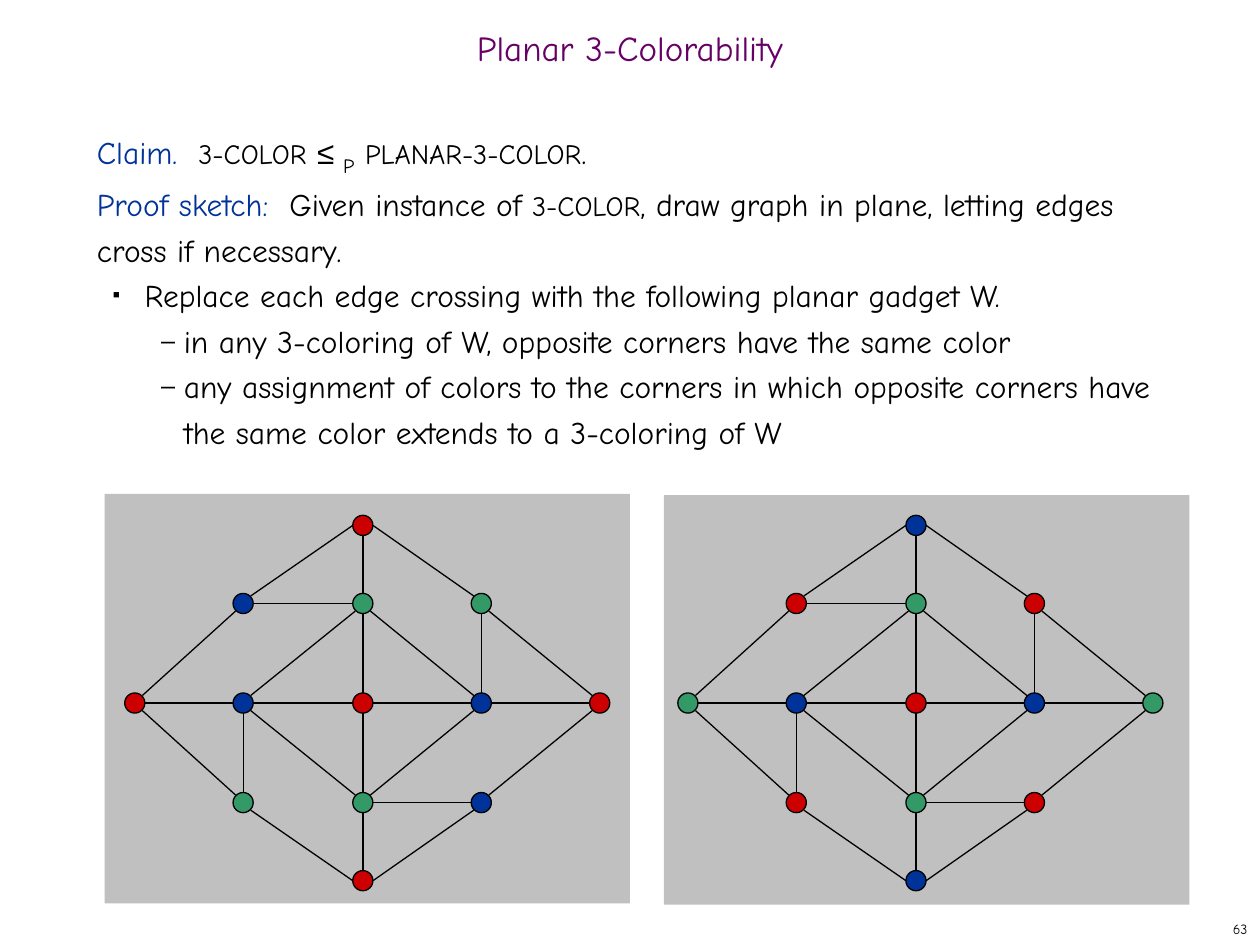
from lxml import etree
from pptx import Presentation
from pptx.dml.color import RGBColor
from pptx.enum.shapes import MSO_CONNECTOR, MSO_SHAPE
from pptx.enum.text import MSO_ANCHOR, PP_ALIGN
from pptx.oxml.ns import qn
from pptx.util import Inches, Pt

COLORS = {"red": "CC0000", "blue": "003399", "green": "339966", "panel": "C0C0C0",
          "black": "000000", "title": "660066"}
FONT = "Comic Neue"


def rgb(name):
    return RGBColor.from_string(COLORS[name])


def add_runs(paragraph, runs):
    """Append (text, size, colour) runs to the paragraph and return them."""
    added = []
    for text, size, color in runs:
        run = paragraph.add_run()
        run.text = text
        run.font.name = FONT
        run.font.size = Pt(size)
        run.font.color.rgb = rgb(color)
        added.append(run)
    return added


prs = Presentation()
prs.slide_width, prs.slide_height = Inches(10), Inches(7.5)
slide = prs.slides.add_slide(prs.slide_layouts[6])
shapes = slide.shapes

# Page number and title
for text, box, size, color, align, spacing in [
        ("63", (7.92, 7.25, 2.08, 0.25), 8, "black", PP_ALIGN.RIGHT, 1.0),
        ("Planar 3-Colorability", (0, 0.17, 10, 0.5), 20, "title", PP_ALIGN.CENTER, 0.7)]:
    frame = shapes.add_textbox(*map(Inches, box)).text_frame
    frame.word_wrap = True
    frame.vertical_anchor = MSO_ANCHOR.MIDDLE
    heading = frame.paragraphs[0]
    heading.alignment = align
    heading.line_spacing = spacing
    add_runs(heading, [(text, size, color)])

# Claim and proof sketch: bullet, bullet size, left margin, indent, runs
statements = [
    (None, 0, 0, 0, [("Claim.  ", 18, "blue"), ("3-COLOR", 16, "black"), (" ", 18, "black"),
                     ("≤ ", 18, "black"), ("P", 20, "black"), (" ", 18, "black"),
                     ("PLANAR-3-COLOR", 16, "black"), (".", 18, "black")]),
    (None, 0, 0, 0, [("Proof sketch:  ", 18, "blue"), ("Given instance of ", 18, "black"),
                     ("3-COLOR", 16, "black"),
                     (", draw graph in plane, letting edges cross if necessary.", 18, "black")]),
    ("■", 35, 0.38, -0.25,
     [("Replace each edge crossing with the following planar gadget W.", 18, "black")]),
    ("–", 80, 0.69, -0.18,
     [("in any 3-coloring of W, opposite corners have the same color", 18, "black")]),
    ("–", 80, 0.69, -0.18,
     [("any assignment of colors to the corners in which opposite corners have "
       "the same color extends to a 3-coloring of W", 18, "black")]),
]
body = shapes.add_textbox(Inches(0.67), Inches(1), Inches(8.58), Inches(5.92)).text_frame
body.word_wrap = True
for i, (bullet, bullet_size, margin, indent, runs) in enumerate(statements):
    statement = body.add_paragraph() if i else body.paragraphs[0]
    statement.line_spacing = Pt(26)
    for run in add_runs(statement, runs):
        if run.text == "≤ ":
            run.font.name = "Arial"
        elif run.text == "P":
            run.font._element.set("baseline", "-25000")
    if bullet:
        props = statement._p.get_or_add_pPr()
        props.set("marL", str(Inches(margin)))
        props.set("indent", str(Inches(indent)))
        bullet_color = etree.SubElement(props, qn("a:buClr"))
        etree.SubElement(bullet_color, qn("a:srgbClr")).set("val", COLORS["black"])
        etree.SubElement(props, qn("a:buSzPct")).set("val", str(bullet_size * 1000))
        etree.SubElement(props, qn("a:buFont")).set("typeface", "Arial")
        etree.SubElement(props, qn("a:buChar")).set("char", bullet)

# Gadget W: node offsets from the centre node
NODES = {
    "center": (0, 0), "left": (-0.95, 0), "right": (0.94, 0),
    "upper": (0, -0.79), "lower": (0, 0.79),
    "west": (-1.81, 0), "east": (1.88, 0), "north": (0, -1.41), "south": (0, 1.41),
    "nw": (-0.95, -0.79), "ne": (0.94, -0.79), "sw": (-0.95, 0.79), "se": (0.94, 0.79),
}
EDGES = [edge.split("-") for edge in (
    "west-left left-center center-right right-east "
    "north-upper upper-center center-lower lower-south "
    "nw-upper lower-se left-sw ne-right "
    "nw-north north-ne ne-east east-se se-south south-sw sw-west west-nw "
    "left-upper upper-right right-lower lower-left").split()]
CORE = {"center": "red", "left": "blue", "right": "blue", "upper": "green", "lower": "green"}
GADGETS = [
    (0.83, 3.92, 2.88, {"west": "red", "east": "red", "north": "red", "south": "red",
                        "nw": "blue", "se": "blue", "ne": "green", "sw": "green"}),
    (5.27, 3.93, 7.27, {"west": "green", "east": "green", "north": "blue", "south": "blue",
                        "nw": "red", "se": "red", "ne": "red", "sw": "red"}),
]
CENTER_Y = 5.58
RADIUS = 0.08
DIAGONAL = 0.06  # sideways and vertical reach of a slanted edge's end on a node

for panel_x, panel_y, center_x, outer in GADGETS:
    panel = shapes.add_shape(MSO_SHAPE.RECTANGLE, Inches(panel_x), Inches(panel_y),
                             Inches(4.17), Inches(3.25))
    panel.shadow.inherit = False
    panel.fill.solid()
    panel.fill.fore_color.rgb = rgb("panel")
    panel.line.fill.background()

    for start, end in EDGES:
        ends = []
        for node, other in ((start, end), (end, start)):
            x, y = NODES[node]
            dx, dy = NODES[other][0] - x, NODES[other][1] - y
            if dx and dy and node in ("north", "south"):
                reach_x, reach_y = RADIUS, 0
            elif dx and dy:
                reach_x = reach_y = DIAGONAL
            else:
                reach_x = reach_y = RADIUS
            ends += [Inches(center_x + x + reach_x * ((dx > 0) - (dx < 0))),
                     Inches(CENTER_Y + y + reach_y * ((dy > 0) - (dy < 0)))]
        edge = shapes.add_connector(MSO_CONNECTOR.STRAIGHT, *ends)
        edge.line.color.rgb = rgb("black")
        edge.line.width = Pt(0.75)
        etree.SubElement(edge._element.spPr, qn("a:effectLst"))

    for name, color in {**CORE, **outer}.items():
        x, y = NODES[name]
        node = shapes.add_shape(MSO_SHAPE.OVAL, Inches(center_x + x - RADIUS),
                                Inches(CENTER_Y + y - RADIUS),
                                Inches(2 * RADIUS), Inches(2 * RADIUS))
        node.shadow.inherit = False
        node.fill.solid()
        node.fill.fore_color.rgb = rgb(color)
        node.line.color.rgb = rgb("black")
        node.line.width = Pt(0.75)

prs.save("out.pptx")
